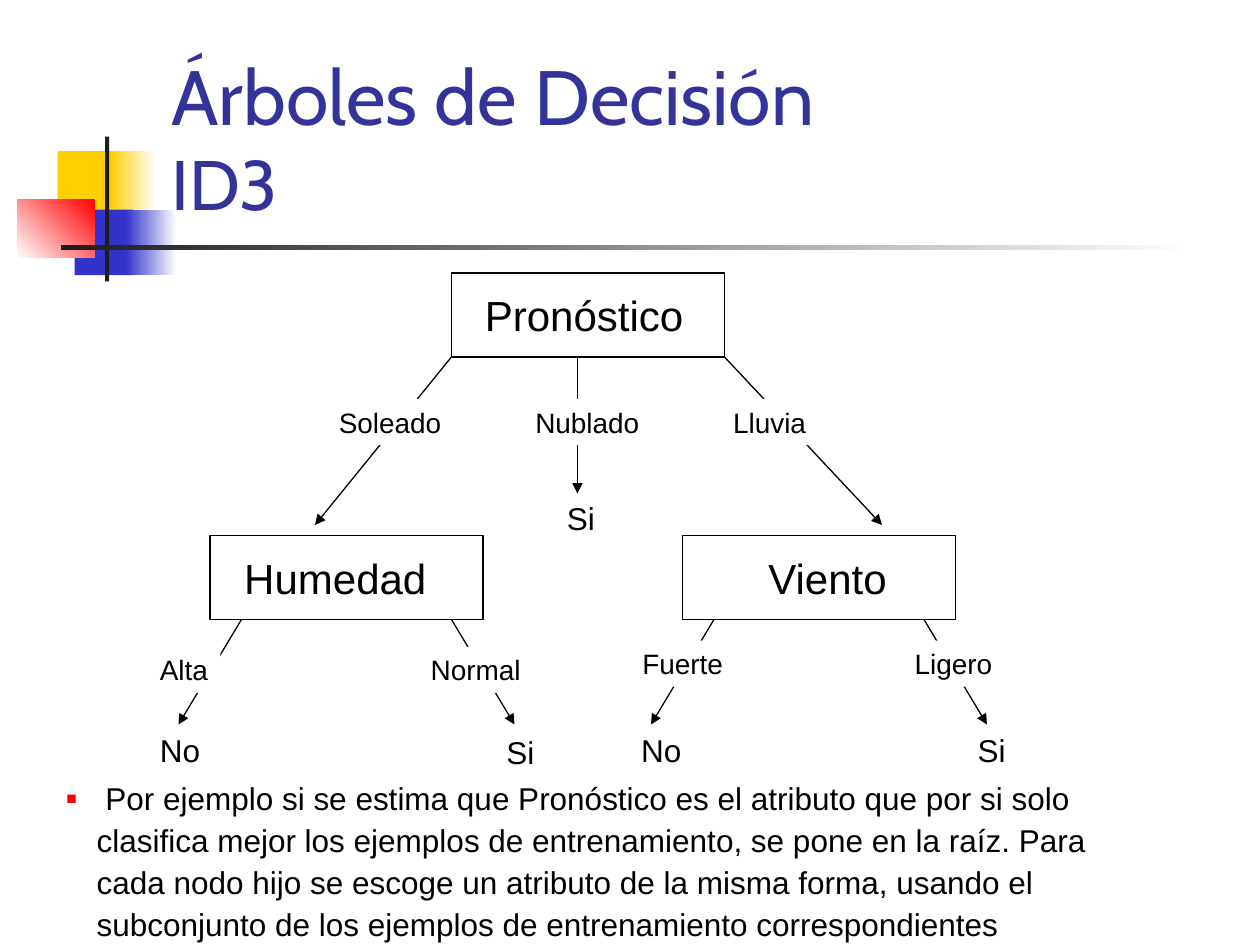
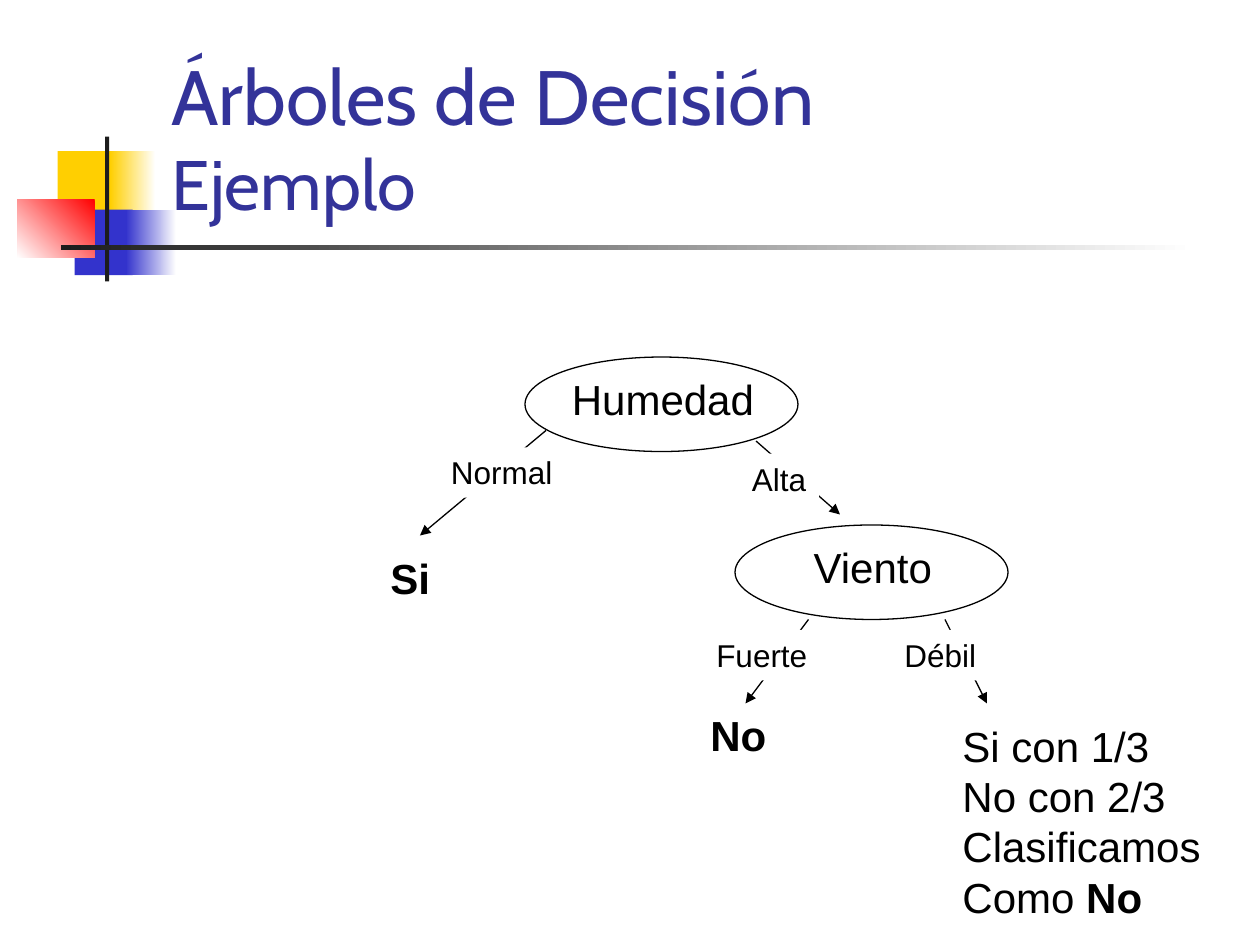
"""Builds two slides on decision trees, laid out on a grid of twelve cells to the inch."""
from dataclasses import dataclass

from lxml.etree import SubElement
from pptx import Presentation
from pptx.dml.color import RGBColor
from pptx.enum.shapes import MSO_CONNECTOR as Link, MSO_SHAPE as Preset
from pptx.enum.text import MSO_ANCHOR as Anchor, MSO_AUTO_SIZE as Fit, PP_ALIGN as Align
from pptx.oxml.ns import qn
from pptx.util import Inches, Pt

CELLS_PER_INCH = 12
BLACK, WHITE, CHARCOAL = "000000", "FFFFFF", "1C1C1C"
YELLOW, BLUE, RED, NAVY = "FFCF01", "3333CC", "FF0000", "333399"
TITLE_FONT, TEXT_FONT = "Cabin", "Arial"
TITLE_TEXT = "Árboles de Decisión"
TITLE_FRAME = (15.12, 2.82, 102.24, 19.2)
BODY_FRAME = (2, 74, 103.44, 16.44)
NODE_WIDTH, LINE_WIDTH = 26, 0.75
NODE_SIZE = 24


@dataclass(frozen=True)
class Band:
    """A rectangle of the shared decoration, plain or fading to a second colour."""
    left: float
    top: float
    width: float
    height: float
    start: str
    end: str = ""
    angle: int = 180


@dataclass(frozen=True)
class Node:
    """An outlined attribute of the tree."""
    left: float
    top: float


@dataclass(frozen=True)
class Arrow:
    """A branch from one grid point to another."""
    x1: float
    y1: float
    x2: float
    y2: float


@dataclass(frozen=True)
class Label:
    """A text box whose height follows from its lines; strong text ends it in bold."""
    text: str
    left: float
    top: float
    width: float
    size: int = NODE_SIZE
    strong: str = ""
    filled: bool = False


@dataclass(frozen=True)
class Tree:
    """The whole diagram of one slide."""
    subtitle: str
    preset: Preset
    node_height: float
    nodes: tuple[Node, ...]
    arrows: tuple[Arrow, ...]
    labels: tuple[Label, ...]
    body: tuple[str, ...] = ()


BANDS = (
    Band(5.5, 14.4, 5.76, 6.24, YELLOW),
    Band(10.5, 14.4, 4.32, 6.24, WHITE, YELLOW),
    Band(7.12, 19.96, 5.52, 6.24, BLUE),
    Band(12, 19.96, 4.8, 6.24, WHITE, BLUE),
    Band(1.66, 18.96, 7.36, 5.6, RED, WHITE, 225),
    Band(10, 13, 0.4, 13.8, CHARCOAL),
    Band(5.8, 23.36, 108, 0.42, WHITE, CHARCOAL),
)

TREES = (
    Tree(
        "ID3", Preset.RECTANGLE, 8,
        (Node(43, 26), Node(20, 51), Node(65, 51)),
        (
            Arrow(43, 34, 30, 50), Arrow(69, 34, 84, 50), Arrow(55, 34, 55, 47),
            Arrow(23, 59, 17, 69), Arrow(68, 59, 62, 69),
            Arrow(43, 59, 49, 69), Arrow(88, 59, 94, 69),
        ),
        (
            Label("Pronóstico", 45, 27, 21.24),
            Label("Humedad", 22.08, 52, 19.68),
            Label("Viento", 72, 52, 13.68),
            Label("Soleado", 31.08, 38, 12.12, 16, filled=True),
            Label("Nublado", 49.8, 38, 12.24, 16, filled=True),
            Label("Lluvia", 68.64, 38, 9.36, 16, filled=True),
            Label("Alta", 14.04, 61.6, 6.96, 16, filled=True),
            Label("Normal", 39.84, 61.6, 10.92, 16, filled=True),
            Label("Fuerte", 60, 61, 10.08, 16, filled=True),
            Label("Ligero", 85.92, 61, 9.72, 16, filled=True),
            Label("Si", 52.8, 46.92, 5.04, 18),
            Label("Si", 47.04, 69.24, 5.04, 18),
            Label("No", 59.88, 69, 6.24, 18),
            Label("Si", 91.92, 69, 5.04, 18),
            Label("No", 14.04, 69, 6.24, 18),
        ),
        (
            " Por ejemplo si se estima que Pronóstico es el atributo que por si solo",
            "clasifica mejor los ejemplos de entrenamiento, se pone en la raíz. Para",
            "cada nodo hijo se escoge un atributo de la misma forma, usando el",
            "subconjunto de los ejemplos de entrenamiento correspondientes",
        ),
    ),
    Tree(
        "Ejemplo", Preset.OVAL, 9,
        (Node(50, 34), Node(70, 50)),
        (
            Arrow(52, 41, 40, 51), Arrow(72, 42, 80, 49),
            Arrow(77, 59, 71, 67), Arrow(90, 59, 94, 67),
        ),
        (
            Label("Humedad", 53.28, 35, 19.68),
            Label("Viento", 76.32, 51, 13.68),
            Label("", 36, 52, 6.12, strong="Si"),
            Label("", 66.48, 67, 7.68, strong="No"),
            Label("Normal", 41.76, 42.6, 12, 18, filled=True),
            Label("Alta", 70.44, 43.2, 7.56, 18, filled=True),
            Label("Fuerte", 67.04, 60, 11.04, 18, filled=True),
            Label("Débil", 84.96, 60, 9.24, 18, filled=True),
            Label("Si con 1/3\nNo con 2/3\nClasificamos\nComo ", 90.48, 68, 25.08, strong="No"),
        ),
    ),
)


def cells(*values: float) -> list[Inches]:
    """Turn grid cells into lengths."""
    return [Inches(value / CELLS_PER_INCH) for value in values]


def paint(color_format, color: str) -> None:
    """Give a colour format a hex colour."""
    color_format.rgb = RGBColor.from_string(color)


def paint_fill(fill, color: str) -> None:
    """Make a fill solid."""
    fill.solid()
    paint(fill.fore_color, color)


def add_span(para, text: str, size: float, color: str = BLACK,
             font: str = TEXT_FONT, bold: bool = False) -> None:
    """Add one formatted run."""
    span = para.add_run()
    span.text = text
    span.font.size = Pt(size)
    span.font.name = font
    span.font.bold = bold
    paint(span.font.color, color)


def place(box, frame: tuple[float, ...]) -> None:
    """Move a placeholder to a frame of the grid."""
    box.left, box.top, box.width, box.height = cells(*frame)


def add_band(page, band: Band):
    """Draw a rectangle of the decoration."""
    box = page.shapes.add_shape(
        Preset.RECTANGLE, *cells(band.left, band.top, band.width, band.height))
    box.shadow.inherit = False
    box.line.fill.background()
    if band.end:
        box.fill.gradient()
        box.fill.gradient_angle = band.angle
        for stop, color in zip(box.fill.gradient_stops, (band.start, band.end)):
            paint(stop.color, color)
    else:
        paint_fill(box.fill, band.start)
    return box


def decorate_master(deck, page) -> None:
    """Put the decoration on the master, so that every slide shows it."""
    for band in BANDS:
        deck.slide_master.shapes.element.append(add_band(page, band).element)


def set_title(page, subtitle: str) -> None:
    """Write the two lines of the title."""
    box = page.shapes.title
    place(box, TITLE_FRAME)
    frame = box.text_frame
    frame.vertical_anchor = Anchor.BOTTOM
    frame.auto_size = Fit.NONE
    para = frame.paragraphs[0]
    para.alignment = Align.LEFT
    add_span(para, TITLE_TEXT, 44, NAVY, TITLE_FONT)
    para.add_line_break()
    add_span(para, subtitle, 40, NAVY, TITLE_FONT)


def set_bullet(para, shown: bool) -> None:
    """Indent a paragraph, with or without a small red square."""
    props = para._p.get_or_add_pPr()
    props.set("marL", str(Inches(0.5)))
    props.set("indent", str(Inches(-0.24 if shown else 0)))
    if not shown:
        SubElement(props, qn("a:buNone"))
        return
    color = SubElement(props, qn("a:buClr"))
    SubElement(color, qn("a:srgbClr"), val=RED)
    SubElement(props, qn("a:buSzPct"), val="55000")
    SubElement(props, qn("a:buFont"), typeface=TEXT_FONT)
    SubElement(props, qn("a:buChar"), char="■")


def set_body(page, lines: tuple[str, ...]) -> None:
    """Write the explanation below the tree."""
    box = page.placeholders[1]
    place(box, BODY_FRAME)
    frame = box.text_frame
    frame.auto_size = Fit.NONE
    frame.vertical_anchor = Anchor.TOP
    for index, line in enumerate(lines):
        para = frame.add_paragraph() if index else frame.paragraphs[0]
        set_bullet(para, shown=index == 0)
        para.line_spacing = 0.9
        para.space_before = Pt(4.5 if index else 0)
        add_span(para, line, 18)


def add_node(page, node: Node, tree: Tree) -> None:
    """Draw the outline of a node."""
    box = page.shapes.add_shape(
        tree.preset, *cells(node.left, node.top, NODE_WIDTH, tree.node_height))
    box.shadow.inherit = False
    box.fill.background()
    paint(box.line.color, BLACK)
    box.line.width = Pt(LINE_WIDTH)


def add_arrow(page, arrow: Arrow) -> None:
    """Draw a branch with its arrowhead."""
    link = page.shapes.add_connector(
        Link.STRAIGHT, *cells(arrow.x1, arrow.y1, arrow.x2, arrow.y2))
    paint(link.line.color, BLACK)
    link.line.width = Pt(LINE_WIDTH)
    SubElement(link.line._get_or_add_ln(), qn("a:tailEnd"), type="triangle")
    SubElement(link.element.spPr, qn("a:effectLst"))


def add_label(page, label: Label) -> None:
    """Write a label, on white where it covers a branch."""
    lines = label.text.split("\n")
    height = len(lines) * label.size / 5 + 1.2
    box = page.shapes.add_textbox(*cells(label.left, label.top, label.width, height))
    if label.filled:
        paint_fill(box.fill, WHITE)
    frame = box.text_frame
    frame.word_wrap = True
    frame.auto_size = Fit.NONE
    frame.margin_right = 0
    for index, line in enumerate(lines):
        para = frame.add_paragraph() if index else frame.paragraphs[0]
        if line:
            add_span(para, line, label.size)
    if label.strong:
        add_span(para, label.strong, label.size, bold=True)


def add_tree(deck, tree: Tree):
    """Build one slide."""
    page = deck.slides.add_slide(deck.slide_layouts[1 if tree.body else 5])
    set_title(page, tree.subtitle)
    if tree.body:
        set_body(page, tree.body)
    for node in tree.nodes:
        add_node(page, node, tree)
    for arrow in tree.arrows:
        add_arrow(page, arrow)
    for label in tree.labels:
        add_label(page, label)
    return page


def main() -> None:
    """Build and save the deck."""
    deck = Presentation()
    deck.slide_width, deck.slide_height = Inches(10), Inches(7.5)
    pages = [add_tree(deck, tree) for tree in TREES]
    decorate_master(deck, pages[0])
    deck.save("out.pptx")


if __name__ == "__main__":
    main()
